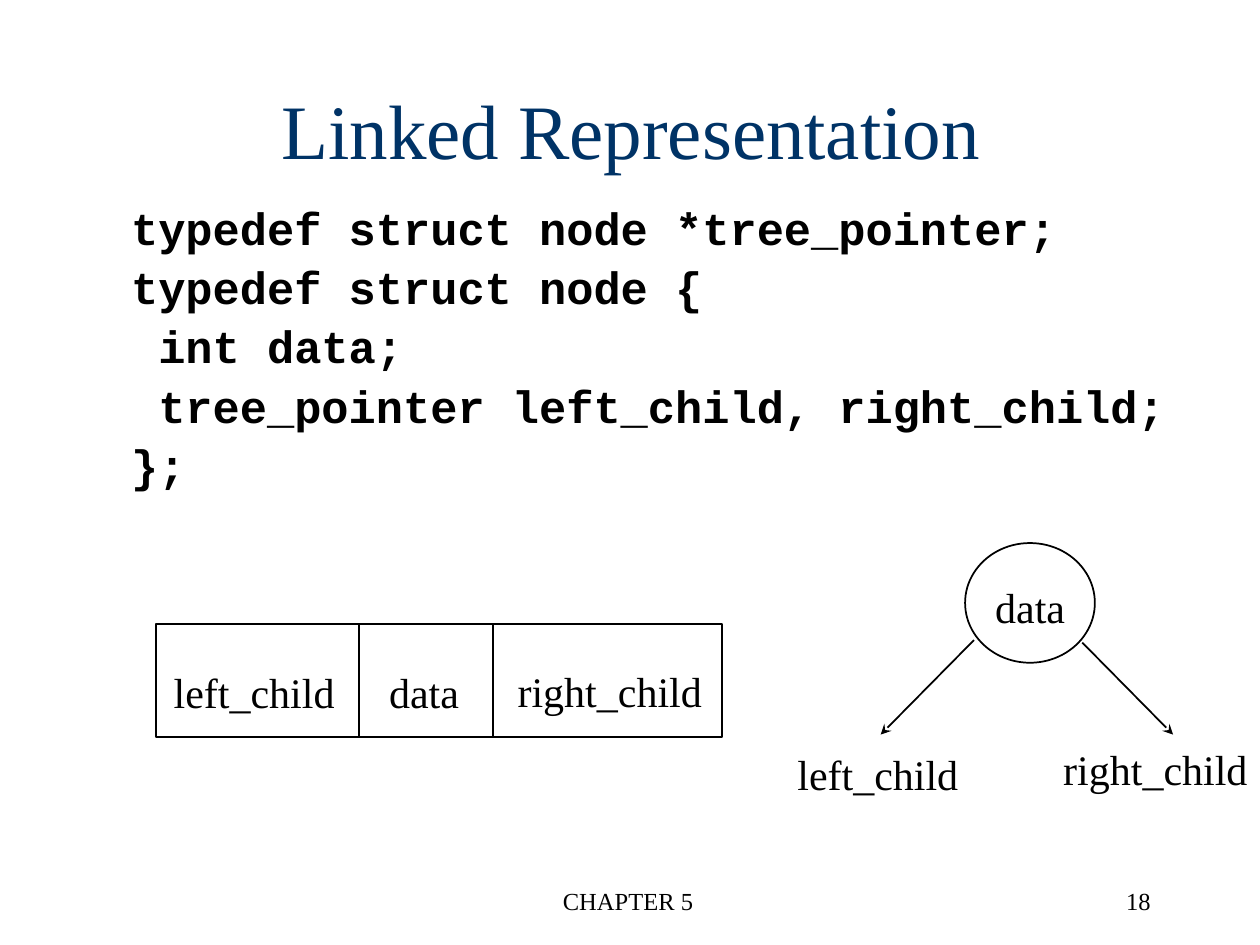
from lxml import etree
from pptx import Presentation
from pptx.dml.color import RGBColor
from pptx.enum.shapes import MSO_CONNECTOR, MSO_SHAPE
from pptx.enum.text import MSO_ANCHOR, MSO_AUTO_SIZE as FIT, PP_ALIGN as ALIGN
from pptx.oxml.ns import qn
from pptx.util import Inches, Pt

COLORS = {"title": "003366", "ink": "000000"}
SERIF, MONO = "Times New Roman", "Courier New"
CODE = [
    "typedef struct node *tree_pointer;",
    "typedef struct node {",
    " int data;",
    " tree_pointer left_child, right_child;",
    "};",
]


def color(name):
    return RGBColor.from_string(COLORS[name])


def place(sp, left, top, width, height):
    sp.left, sp.top = Inches(left), Inches(top)
    sp.width, sp.height = Inches(width), Inches(height)


def write(tf, lines, size=24, font=SERIF, ink="ink", bold=False,
          align=ALIGN.LEFT, gap=0, hanging=0, wrap=True, fit=FIT.NONE,
          anchor=MSO_ANCHOR.TOP):
    """Fill a text frame with one unbulleted paragraph per line."""
    tf.word_wrap, tf.auto_size, tf.vertical_anchor = wrap, fit, anchor
    for i, line in enumerate(lines):
        p = tf.paragraphs[0] if i == 0 else tf.add_paragraph()
        p.alignment, p.line_spacing = align, 1.0
        p.space_before = Pt(gap if i else 0)
        if hanging:
            pPr = p._p.get_or_add_pPr()
            pPr.set("marL", str(Inches(hanging)))
            pPr.set("indent", str(-Inches(hanging)))
            etree.SubElement(pPr, qn("a:buNone"))
        r = p.add_run()
        r.text = line
        r.font.size, r.font.name, r.font.bold = Pt(size), font, bold
        r.font.color.rgb = color(ink)


def add_text(slide, text, left, top, width, **fmt):
    box = slide.shapes.add_textbox(
        Inches(left), Inches(top), Inches(width), Inches(0.5))
    write(box.text_frame, [text], **fmt)


def add_label(slide, text, left, top, width):
    add_text(slide, text, left, top, width, wrap=False, fit=FIT.SHAPE_TO_FIT_TEXT)


def add_outline(slide, kind, left, top, width, height):
    sp = slide.shapes.add_shape(
        kind, Inches(left), Inches(top), Inches(width), Inches(height))
    sp.shadow.inherit = False
    sp.fill.background()
    sp.line.color.rgb, sp.line.width = color("ink"), Pt(1)


def add_line(slide, x1, y1, x2, y2, arrow=False):
    line = slide.shapes.add_connector(
        MSO_CONNECTOR.STRAIGHT, Inches(x1), Inches(y1), Inches(x2), Inches(y2))
    line.line.color.rgb, line.line.width = color("ink"), Pt(1)
    if arrow:
        etree.SubElement(line.line._get_or_add_ln(), qn("a:tailEnd"), type="stealth")
    etree.SubElement(line._element.spPr, qn("a:effectLst"))


def add_record(slide):
    """Draw the node as a box with three fields."""
    add_outline(slide, MSO_SHAPE.RECTANGLE, 1.24, 4.95, 4.49, 0.9)
    for x in (2.85, 3.91):
        add_line(slide, x, 4.96, x, 5.85)
    add_label(slide, "data", 2.99, 5.24, 0.76)
    add_label(slide, "left_child", 1.28, 5.24, 1.48)
    add_label(slide, "right_child", 4.01, 5.23, 1.66)


def add_tree(slide):
    """Draw the node as a circle pointing to its two children."""
    add_outline(slide, MSO_SHAPE.OVAL, 7.66, 4.31, 1.03, 0.95)
    add_label(slide, "data", 7.8, 4.57, 0.76)
    add_line(slide, 7.73, 5.08, 6.99, 5.83, arrow=True)
    add_line(slide, 8.59, 5.1, 9.31, 5.83, arrow=True)
    add_label(slide, "left_child", 6.23, 5.89, 1.48)
    add_label(slide, "right_child", 8.34, 5.85, 1.66)


def main():
    prs = Presentation()
    prs.slide_width, prs.slide_height = Inches(10), Inches(7.5)
    slide = prs.slides.add_slide(prs.slide_layouts[1])

    title, body = slide.placeholders
    place(title, 0, 0.4, 10.02, 1.25)
    write(title.text_frame, ["Linked Representation"], size=44, ink="title",
          align=ALIGN.CENTER, anchor=MSO_ANCHOR.MIDDLE)
    place(body, 0.94, 1.54, 10.02, 2.61)
    write(body.text_frame, CODE, size=25.9, font=MONO, bold=True,
          gap=2.7, hanging=0.38)

    add_record(slide)
    add_tree(slide)
    add_text(slide, "CHAPTER 5", 3.4, 6.98, 3.17, size=14, align=ALIGN.CENTER)
    add_text(slide, "18", 7.15, 6.98, 2.08, size=14, align=ALIGN.RIGHT)
    prs.save("out.pptx")


if __name__ == "__main__":
    main()
